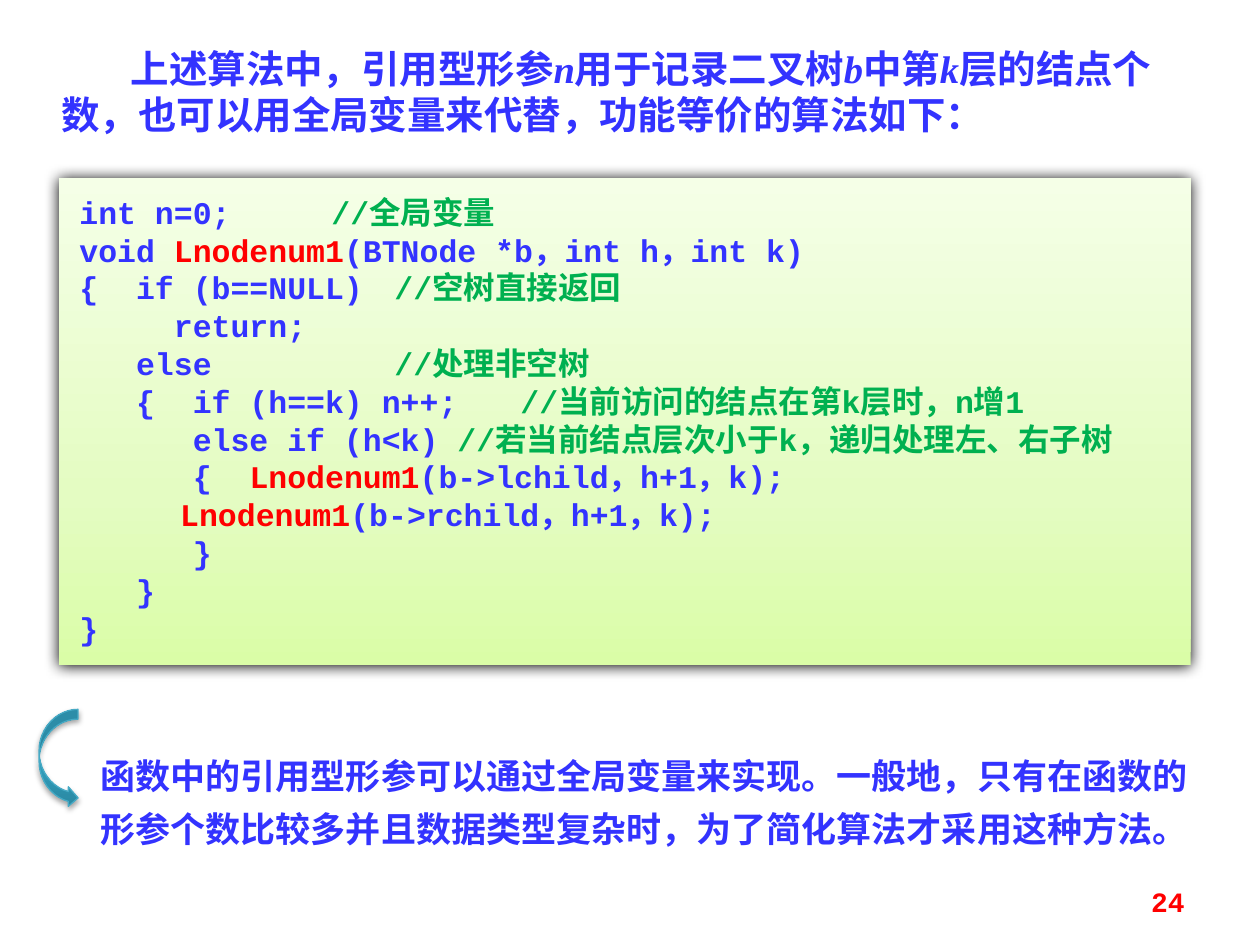
"""Build the slide on replacing a reference parameter with a global variable."""
from lxml import etree
from pptx import Presentation
from pptx.dml.color import RGBColor
from pptx.enum.shapes import MSO_SHAPE
from pptx.enum.text import MSO_ANCHOR, PP_ALIGN
from pptx.oxml.ns import qn
from pptx.util import Inches, Pt

RECTANGLE = MSO_SHAPE.RECTANGLE
CURVED_ARROW = MSO_SHAPE.CURVED_RIGHT_ARROW
LEFT, RIGHT = PP_ALIGN.LEFT, PP_ALIGN.RIGHT
TOP, MIDDLE = MSO_ANCHOR.TOP, MSO_ANCHOR.MIDDLE

BLUE = RGBColor(0x33, 0x33, 0xFF)
GREEN = RGBColor(0x00, 0xB0, 0x50)
RED = RGBColor(0xFF, 0x00, 0x00)
ARROW_LINE = RGBColor(0x46, 0xAA, 0xC5)
PANEL_STOPS = [
    (0, RGBColor(0xDA, 0xFD, 0xA7)),
    (35, RGBColor(0xE4, 0xFC, 0xC2)),
    (100, RGBColor(0xF5, 0xFF, 0xE7)),
]
ARROW_STOPS = [
    (0, RGBColor(0x2A, 0x88, 0xA2)),
    (80, RGBColor(0x37, 0xB1, 0xD2)),
    (100, RGBColor(0x34, 0xB4, 0xD6)),
]
CODE_FONT = "Courier New"
SERIF_FONT = "Times New Roman"
CHINESE_FONT = "Noto Sans CJK SC"


def add_run(paragraph, text, size, font_name, color, italic=False):
    run = paragraph.add_run()
    run.text = text
    font = run.font
    font.size, font.name, font.bold, font.italic = Pt(size), font_name, True, italic
    font.color.rgb = color
    east_asian = etree.SubElement(font._element, qn("a:ea"))
    east_asian.set("typeface", CHINESE_FONT)


def style_shape(shape, stops, opacity, blur, distance):
    shape.fill.gradient()
    shape.fill.gradient_angle = 90
    properties = shape._element.spPr
    stop_list = properties.find(".//" + qn("a:gsLst"))
    stop_list.clear()
    for position, color in stops:
        stop = etree.SubElement(stop_list, qn("a:gs"), pos=str(position * 1000))
        etree.SubElement(stop, qn("a:srgbClr"), val=str(color))
    shape.shadow.inherit = False
    shadow = etree.SubElement(
        properties.find(qn("a:effectLst")), qn("a:outerShdw"),
        blurRad=str(Pt(blur)), dist=str(Pt(distance)), dir="5400000", rotWithShape="0")
    shadow_color = etree.SubElement(shadow, qn("a:srgbClr"), val="000000")
    etree.SubElement(shadow_color, qn("a:alpha"), val=str(opacity * 1000))


presentation = Presentation()
presentation.slide_width, presentation.slide_height = Inches(10), Inches(7.5)
slide = presentation.slides.add_slide(presentation.slide_layouts[6])

introduction = slide.shapes.add_textbox(Inches(0.39), Inches(0.31), Inches(9.14), Inches(0.84))
introduction.text_frame.word_wrap = True
paragraph = introduction.text_frame.paragraphs[0]
paragraph._p.get_or_add_pPr().set("indent", str(Inches(0.55)))
for text, italic in [
    ("上述算法中，引用型形参", False),
    ("n", True),
    ("用于记录二叉树", False),
    ("b", True),
    ("中第", False),
    ("k", True),
    ("层的结点个数，也可以用全局变量来代替，功能等价的算法如下：", False),
]:
    add_run(paragraph, text, 22, SERIF_FONT, BLUE, italic)

code_panel = slide.shapes.add_shape(RECTANGLE, Inches(0.47), Inches(1.41), Inches(8.98), Inches(3.87))
code_panel.line.fill.background()
style_shape(code_panel, PANEL_STOPS, 100, 8.5, 1)
frame = code_panel.text_frame
frame.word_wrap = True
frame.vertical_anchor = TOP
frame.margin_left, frame.margin_right = Inches(0.16), Inches(0.1)
frame.margin_top = frame.margin_bottom = Inches(0.12)
code_lines = [
    [("int n=0;\t\t", BLUE), ("//全局变量", GREEN)],
    [("void ", BLUE), ("Lnodenum1", RED), ("(BTNode *b，int h，int k)", BLUE)],
    [("{  if (b==NULL)\t", BLUE), ("//空树直接返回", GREEN)],
    [("     return;", BLUE)],
    [("   else\t\t\t", BLUE), ("//处理非空树", GREEN)],
    [("   {  if (h==k) n++;\t", BLUE), ("//当前访问的结点在第k层时，n增1", GREEN)],
    [("      else if (h<k)\t", BLUE), ("//若当前结点层次小于k，递归处理左、右子树", GREEN)],
    [("      {  ", BLUE), ("Lnodenum1", RED), ("(b->lchild，h+1，k);", BLUE)],
    [("\t  ", BLUE), ("Lnodenum1", RED), ("(b->rchild，h+1，k);", BLUE)],
    [("      }", BLUE)],
    [("   }", BLUE)],
    [("}", BLUE)],
]
for index, code_line in enumerate(code_lines):
    paragraph = frame.add_paragraph() if index else frame.paragraphs[0]
    paragraph.alignment = LEFT
    for text, color in code_line:
        add_run(paragraph, text, 18, CODE_FONT, color)

remark_group = slide.shapes.add_group_shape()
remark = remark_group.shapes.add_textbox(Inches(0.7), Inches(5.86), Inches(8.91), Inches(0.94))
remark.text_frame.word_wrap = True
paragraph = remark.text_frame.paragraphs[0]
paragraph.line_spacing = Pt(30)
add_run(
    paragraph,
    "函数中的引用型形参可以通过全局变量来实现。一般地，只有在函数的"
    "形参个数比较多并且数据类型复杂时，为了简化算法才采用这种方法。",
    20, CHINESE_FONT, BLUE)

arrow = remark_group.shapes.add_shape(CURVED_ARROW, Inches(0.31), Inches(5.63), Inches(0.31), Inches(0.78))
arrow.line.color.rgb = ARROW_LINE
arrow.line.width = Pt(0.75)
style_shape(arrow, ARROW_STOPS, 35, 3.1, 1.8)

page_number = slide.shapes.add_textbox(Inches(7.17), Inches(6.95), Inches(2.33), Inches(0.4))
page_number.text_frame.word_wrap = True
page_number.text_frame.vertical_anchor = MIDDLE
paragraph = page_number.text_frame.paragraphs[0]
paragraph.alignment = RIGHT
add_run(paragraph, "24", 16, CODE_FONT, RED)

presentation.save("out.pptx")
